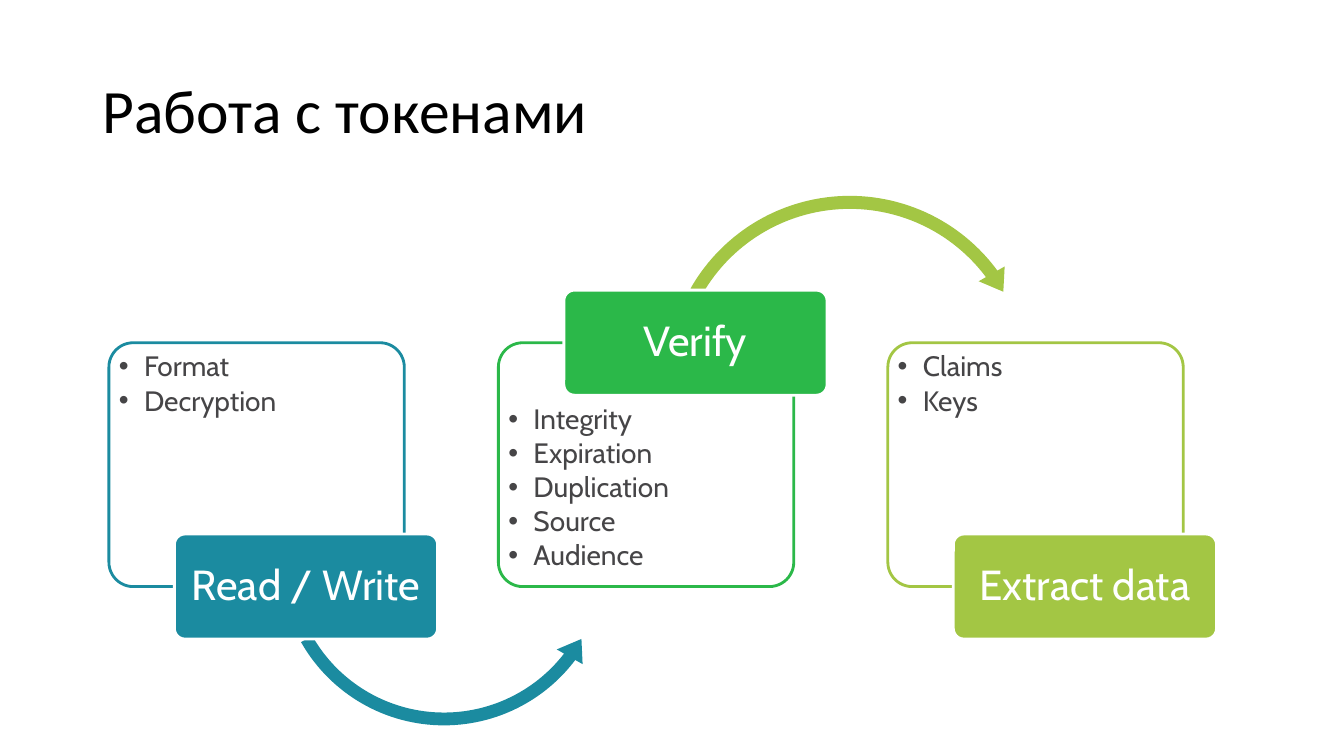
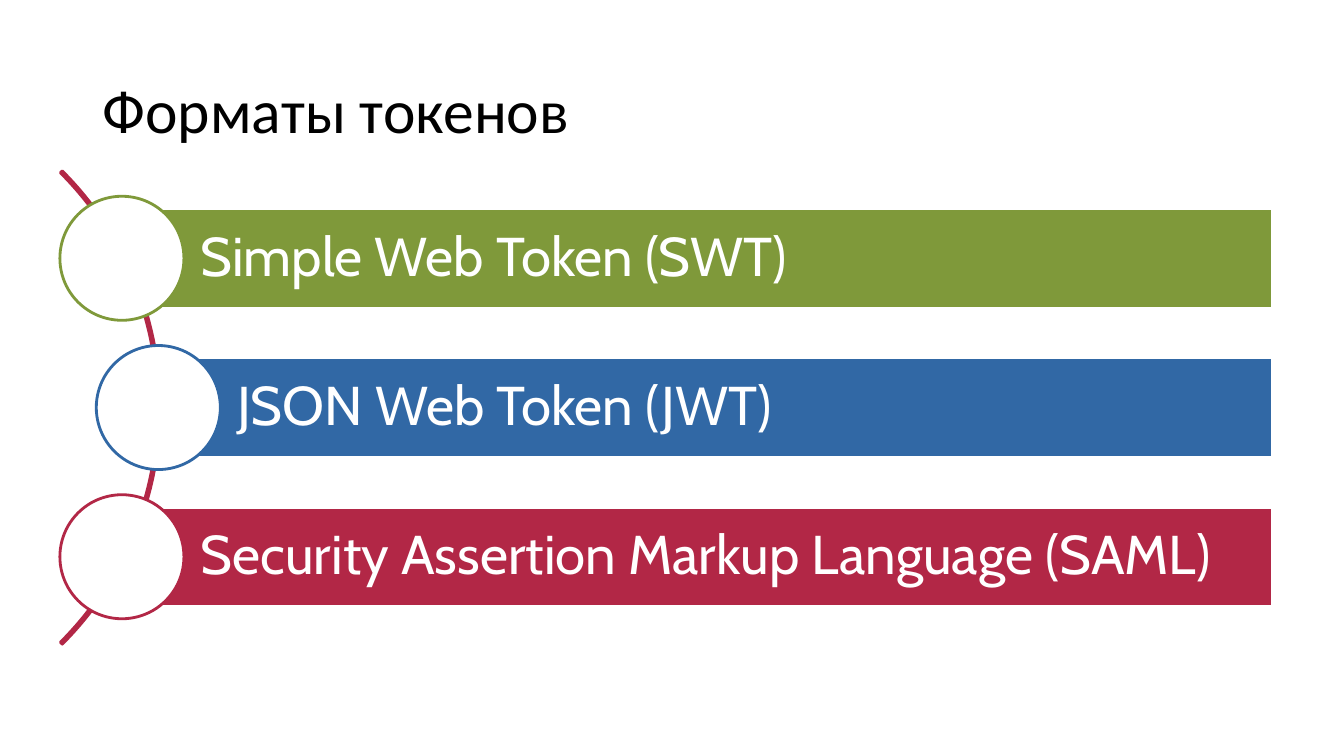
from dataclasses import dataclass

from lxml.etree import SubElement
from pptx import Presentation
from pptx.dml.color import RGBColor
from pptx.enum.shapes import MSO_SHAPE as Kind
from pptx.enum.text import MSO_ANCHOR as Anchor, MSO_AUTO_SIZE as Fit, PP_ALIGN as Align
from pptx.oxml.ns import qn
from pptx.util import Pt


@dataclass(frozen=True)
class Theme:
    white: str = "FFFFFF"
    black: str = "000000"
    gray: str = "464547"
    teal: str = "1B8BA0"
    green: str = "2BB849"
    lime: str = "A3C644"
    olive: str = "7F993A"
    blue: str = "3168A5"
    red: str = "B22746"
    head: str = "Calibri"
    body: str = "Cabin"
    title: int = 44
    bar: int = 39
    label: int = 30
    list: int = 20
    line: int = 2


T = Theme()


def rgb(code):
    return RGBColor.from_string(code)


def bullet(para, indent=18):
    """Give a paragraph a round bullet with a hanging indent."""
    props = para._p.get_or_add_pPr()
    props.set("marL", str(Pt(indent)))
    props.set("indent", str(Pt(-indent)))
    SubElement(props, qn("a:buFont"), typeface="Arial")
    SubElement(props, qn("a:buChar"), char="•")


def write(shape, *lines, size, color=T.white, face=T.body, align=Align.LEFT,
          anchor=Anchor.MIDDLE, inset=(7.2, 3.6, 7.2, 3.6), dots=False, after=0):
    """Fill a shape with one paragraph per line."""
    frame = shape.text_frame
    frame.word_wrap = True
    frame.auto_size = Fit.NONE
    frame.vertical_anchor = anchor
    (frame.margin_left, frame.margin_top,
     frame.margin_right, frame.margin_bottom) = map(Pt, inset)
    for i, line in enumerate(lines):
        para = frame.add_paragraph() if i else frame.paragraphs[0]
        if dots:
            bullet(para)
        para.alignment = align
        para.line_spacing = 0.9
        para.space_before = Pt(0)
        para.space_after = Pt(after)
        run = para.add_run()
        run.text = line
        run.font.size = Pt(size)
        run.font.name = face
        run.font.color.rgb = rgb(color)


def draw(slide, kind, box, fill=None, line=None, adj=(), alpha=None):
    """Add a flat preset shape."""
    shape = slide.shapes.add_shape(kind, *map(Pt, box))
    shape.shadow.inherit = False
    for i, value in enumerate(adj):
        shape.adjustments[i] = value
    if fill:
        shape.fill.solid()
        shape.fill.fore_color.rgb = rgb(fill)
        if alpha:
            tint = shape._element.spPr.find(".//" + qn("a:srgbClr"))
            SubElement(tint, qn("a:alpha"), val=str(alpha * 1000))
    else:
        shape.fill.background()
    if line:
        shape.line.color.rgb = rgb(line)
        shape.line.width = Pt(T.line)
    else:
        shape.line.fill.background()
    return shape


def start(deck, name):
    """Add a slide with its title."""
    slide = deck.slides.add_slide(deck.slide_layouts[5])
    title = slide.shapes.title
    title.left, title.top, title.width, title.height = map(Pt, (66, 28.8, 828, 104.4))
    write(title, name, size=T.title, color=T.black, face=T.head)
    return slide


def step(slide, box, name, items, color, top=False, arrow=None):
    """Place a card, its label centred on one edge, and the arrow onward."""
    x, y, w, h = box
    wide, high = 188, 75
    card = draw(slide, Kind.ROUNDED_RECTANGLE, box, T.white, color, (0.1,), alpha=90)
    room = 2 + (high / 2 if top else 0)
    write(card, *items, size=T.list, color=T.gray, anchor=Anchor.TOP,
          inset=(2, room, 2, 2), dots=True, after=2.8)
    if arrow:
        kind, dx, dy, side, tone, adj = arrow
        draw(slide, kind, (x + dx, y + dy, side, side), tone, adj=adj)
    edge = y if top else y + h
    label = draw(slide, Kind.ROUNDED_RECTANGLE, (x + 46.8, edge - high / 2, wide, high),
                 color, T.white, (0.1,))
    write(label, name, size=T.label, align=Align.CENTER, inset=(4, 3, 4, 3))


def flow(slide, box, pitch):
    """Place the three steps in a row."""
    x, y, w, h = box
    under = (Kind.LEFT_CIRCULAR_ARROW, 115.9, 32.4, 247, T.teal,
             (0.037, 4.645, 22.4, 90.245, 0.043))
    over = (Kind.CIRCULAR_ARROW, 114.2, -110.9, 273.6, T.lime,
            (0.034, 4.151, 194.094, 125.755, 0.039))
    steps = (
        ("Read / Write", ("Format", "Decryption"), T.teal, False, under),
        ("Verify", ("Integrity", "Expiration", "Duplication", "Source", "Audience"),
         T.green, True, over),
        ("Extract data", ("Claims", "Keys"), T.lime, False, None),
    )
    for i, data in enumerate(steps):
        step(slide, (x + i * pitch, y, w, h), *data)


def band(slide, box, name, color):
    """Place a bar with a ring centred on its left edge."""
    x, y, w, h = box
    bar = draw(slide, Kind.RECTANGLE, box, color, T.white)
    write(bar, name, size=T.bar, inset=(56.2, 8, 8, 8))
    ring = 88.6
    draw(slide, Kind.OVAL, (x - ring / 2, y + (h - ring) / 2, ring, ring), T.white, color)


def stack(slide, box, pitch):
    """Place the arc and the bars that follow it."""
    x, y, w, h = box
    side = 478
    middle = y + pitch + h / 2
    draw(slide, Kind.BLOCK_ARC, (x - 450.6, middle - side / 2, side, side),
         line=T.red, adj=(189, 27, 0.004))
    bands = (
        ("Simple Web Token (SWT)", T.olive, 0),
        ("JSON Web Token (JWT)", T.blue, 26),
        ("Security Assertion Markup Language (SAML)", T.red, 0),
    )
    for i, (name, color, shift) in enumerate(bands):
        band(slide, (x + shift, y + i * pitch, w - shift, h), name, color)


def main():
    deck = Presentation()
    deck.slide_width, deck.slide_height = Pt(960), Pt(540)
    flow(start(deck, "Работа с токенами"), (77.8, 244.8, 211, 174.2), 278.2)
    stack(start(deck, "Форматы токенов"), (87.1, 149, 821.5, 71), 106.6)
    deck.save("out.pptx")


if __name__ == "__main__":
    main()
